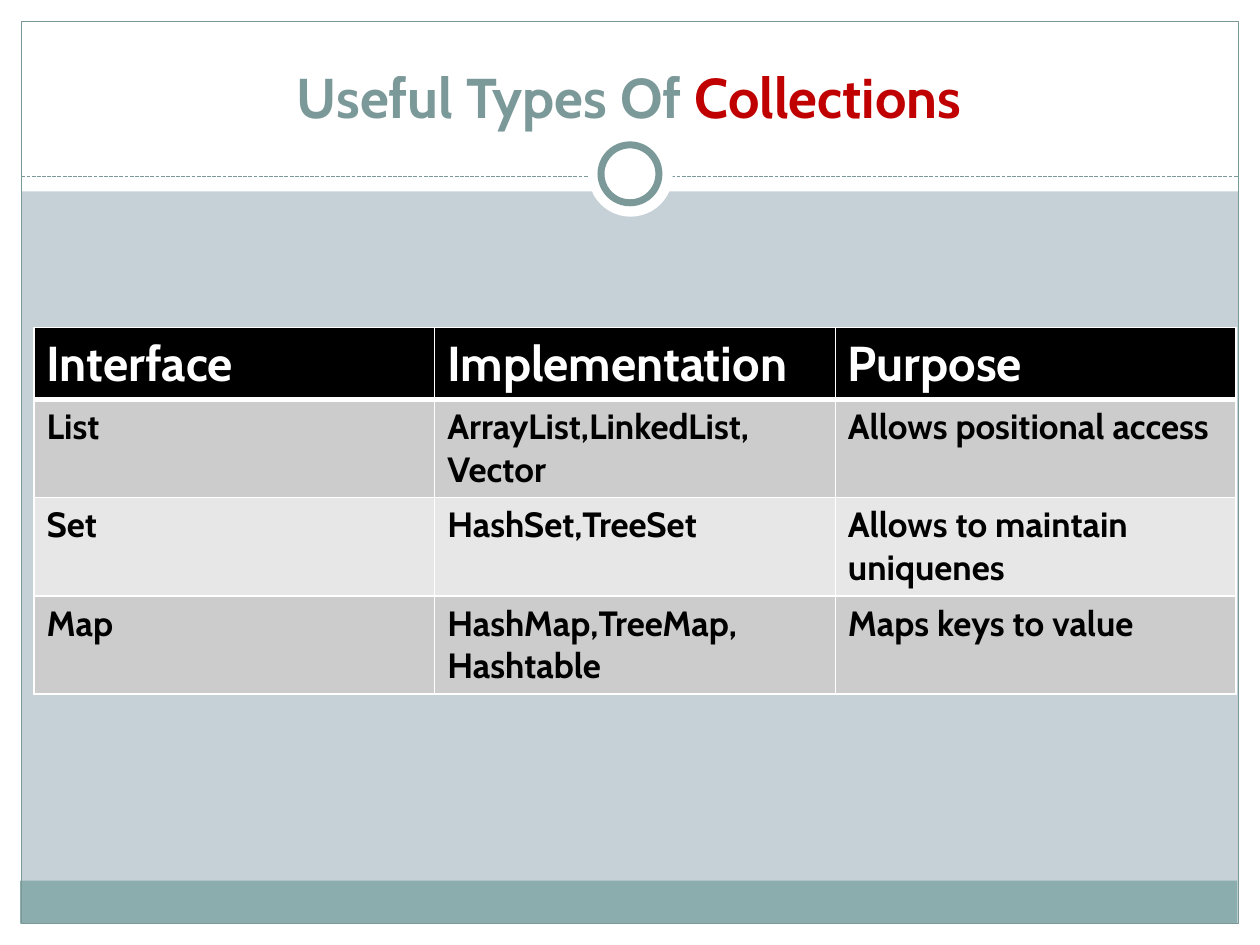
"""Build a slide listing useful collection types by interface."""
from lxml.etree import SubElement
from pptx import Presentation
from pptx.dml.color import RGBColor
from pptx.enum.dml import MSO_LINE
from pptx.enum.shapes import MSO_CONNECTOR, MSO_SHAPE
from pptx.enum.text import MSO_ANCHOR, PP_ALIGN
from pptx.oxml.ns import qn
from pptx.util import Inches, Pt

WHITE, TEAL = "FFFFFF", "7C999A"


def paint(color_format, hex_color):
    color_format.rgb = RGBColor.from_string(hex_color)


def add_part(kind, box, fill=None, line=None, width=0.75):
    part = slide.shapes.add_shape(kind, *[Inches(v) for v in box])
    part.shadow.inherit = False
    if fill:
        part.fill.solid()
        paint(part.fill.fore_color, fill)
    else:
        part.fill.background()
    if line:
        paint(part.line.color, line)
        part.line.width = Pt(width)
    else:
        part.line.fill.background()


prs = Presentation()
prs.slide_width, prs.slide_height = Inches(10), Inches(7.5)
slide = prs.slides.add_slide(prs.slide_layouts[6])
slide.background.fill.solid()
paint(slide.background.fill.fore_color, "C5D1D7")

margins = [(0, 7.33, 10, 0.17), (0, 0, 10, 1.52), (0, 0, 0.17, 7.5), (9.83, 0, 0.17, 7.5)]
for margin in margins:
    add_part(MSO_SHAPE.RECTANGLE, margin, WHITE)
add_part(MSO_SHAPE.RECTANGLE, (0.16, 6.99, 9.66, 0.34), "8CADAE")
add_part(MSO_SHAPE.RECTANGLE, (0.17, 0.17, 9.66, 7.16), line=TEAL)

divider = slide.shapes.add_connector(
    MSO_CONNECTOR.STRAIGHT, Inches(0.17), Inches(1.4), Inches(9.83), Inches(1.4))
paint(divider.line.color, TEAL)
divider.line.width = Pt(0.75)
divider.line.dash_style = MSO_LINE.SQUARE_DOT
divider.line.dash_style = MSO_LINE.SQUARE_DOT
SubElement(divider._element.spPr, qn("a:effectLst"))

add_part(MSO_SHAPE.OVAL, (4.67, 1.05, 0.67, 0.67), WHITE)
add_part(MSO_SHAPE.OVAL, (4.77, 1.15, 0.46, 0.46), WHITE, TEAL, 4)

title = slide.shapes.add_textbox(Inches(0.33), Inches(0.25), Inches(9.33), Inches(0.83))
title.text_frame.word_wrap = True
title.text_frame.vertical_anchor = MSO_ANCHOR.BOTTOM
heading = title.text_frame.paragraphs[0]
heading.alignment = PP_ALIGN.CENTER
for words, color in [("Useful Types Of ", TEAL), ("Collections", "C00000")]:
    run = heading.add_run()
    run.text = words
    run.font.name, run.font.size, run.font.bold = "Cabin", Pt(32), True
    paint(run.font.color, color)

rows = [
    ("Interface", "Implementation", "Purpose"),
    ("List", "ArrayList,LinkedList,\nVector", "Allows positional access"),
    ("Set", "HashSet,TreeSet", "Allows to maintain uniquenes"),
    ("Map", "HashMap,TreeMap,\nHashtable", "Maps keys to value"),
]
collections = slide.shapes.add_table(
    4, 3, Inches(0.27), Inches(2.6), Inches(9.53), Inches(2.9)).table
for column in collections.columns:
    column.width = Inches(3.18)

for r, texts in enumerate(rows):
    is_header = r == 0
    collections.rows[r].height = Inches(0.57 if is_header else 0.78)
    fill = "000000" if is_header else ("E7E7E7", "CCCCCC")[r % 2]
    edges = {"lnL": 1, "lnR": 1, "lnT": 3 if r == 1 else 1, "lnB": 3 if is_header else 1}
    for c, text in enumerate(texts):
        cell = collections.cell(r, c)
        properties = cell._tc.get_or_add_tcPr()
        for edge, width in edges.items():
            border = SubElement(properties, qn(f"a:{edge}"), w=str(Pt(width)))
            SubElement(SubElement(border, qn("a:solidFill")), qn("a:srgbClr"), val=WHITE)
        cell.fill.solid()
        paint(cell.fill.fore_color, fill)
        cell.text_frame.text = text
        for paragraph in cell.text_frame.paragraphs:
            for run in paragraph.runs:
                run.font.name, run.font.bold = "Cabin", True
                run.font.size = Pt(28 if is_header else 20)
                paint(run.font.color, WHITE if is_header else "000000")

prs.save("out.pptx")
